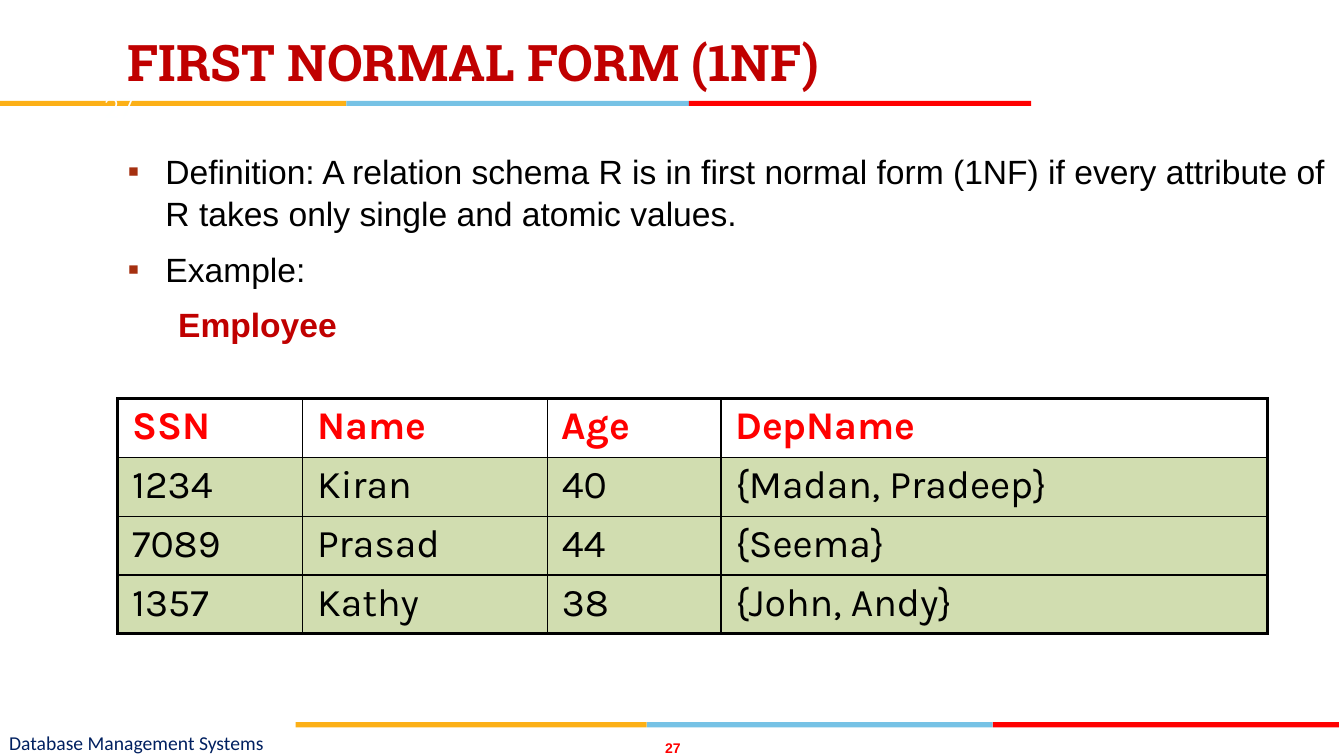
from itertools import accumulate
from lxml.etree import SubElement
from pptx import Presentation
from pptx.dml.color import RGBColor
from pptx.enum.shapes import MSO_SHAPE
from pptx.enum.text import MSO_ANCHOR, PP_ALIGN
from pptx.oxml.ns import qn
from pptx.util import Cm, Pt

GOLD = RGBColor(0xFC, 0xB0, 0x17)
SKY = RGBColor(0x76, 0xC2, 0xE5)
RED = RGBColor(0xFF, 0x00, 0x00)
CRIMSON = RGBColor(0xC0, 0x00, 0x00)
NAVY = RGBColor(0x00, 0x20, 0x60)
BLACK = RGBColor(0x00, 0x00, 0x00)
WHITE = RGBColor(0xFE, 0xFF, 0xFF)
GREEN = RGBColor(0xD1, 0xDD, 0xB0)
RUST = RGBColor(0xA5, 0x30, 0x10)

FONTS = {
    "title": dict(name="Roboto Slab", size=Pt(36), bold=True, color=CRIMSON),
    "body": dict(name="Arial", size=Pt(24), bold=False, color=BLACK),
    "label": dict(name="Arial", size=Pt(24), bold=True, color=CRIMSON),
    "head": dict(name="Karla", size=Pt(28), bold=True, color=RED),
    "cell": dict(name="Karla", size=Pt(28), bold=False, color=BLACK),
    "foot": dict(name="Calibri", size=Pt(14), bold=False, color=NAVY),
    "page": dict(name="Arial", size=Pt(10), bold=True, color=RED),
    "badge": dict(name="Quicksand", size=Pt(20), bold=False, color=WHITE),
}
BANDS = [
    (0, 2.54, (8.73, 8.63, 8.63)),
    (7.45, 18.2, (8.85, 8.72, 8.72)),
]
FLUSH = dict(margin_left=0, margin_right=0, margin_top=0, margin_bottom=0,
             vertical_anchor=MSO_ANCHOR.MIDDLE)
LABELS = [
    ("27", "page", (16.54, 18.63, 0.83, 0.42), PP_ALIGN.CENTER, FLUSH),
    ("Database Management Systems", "foot", (0.23, 18.36, 12.6, 0.69), PP_ALIGN.LEFT, FLUSH),
    ("FIRST NORMAL FORM (1NF)", "title", (2.97, 0.66, 24.33, 2.13), PP_ALIGN.LEFT, {}),
    ("27", "badge", (1.47, 2.19, 2.15, 1.02), PP_ALIGN.RIGHT,
     dict(vertical_anchor=MSO_ANCHOR.MIDDLE)),
]
BODY = [
    ("Definition: A relation schema R is in first normal form (1NF) if every "
     "attribute of R takes only single and atomic values.", "body"),
    ("Example:", "body"),
    ("Employee", "label"),
]
ROWS = [
    ("SSN", "Name", "Age", "DepName"),
    ("1234", "Kiran", "40", "{Madan, Pradeep}"),
    ("7089", "Prasad", "44", "{Seema}"),
    ("1357", "Kathy", "38", "{John, Andy}"),
]
COLS = (4.66, 6.17, 4.37, 13.78)
TALL = 1.48


def put(item, values):
    for key, value in values.items():
        if key == "color":
            item.color.rgb = value
        else:
            setattr(item, key, value)


def write(para, text, style):
    run = para.add_run()
    run.text = text
    put(run.font, FONTS[style])


def add_box(slide, place, values):
    frame = slide.shapes.add_textbox(*map(Cm, place)).text_frame
    put(frame, dict(word_wrap=True, **values))
    return frame


def indent(para, left, hang):
    props = para._p.get_or_add_pPr()
    props.set("marL", str(Cm(left)))
    props.set("indent", str(Cm(hang)))
    return props


def add_mark(para):
    props = indent(para, 0.95, -0.95)
    tint = SubElement(props, qn("a:buClr"))
    SubElement(tint, qn("a:srgbClr"), val=str(RUST))
    SubElement(props, qn("a:buFont"), typeface="Arial")
    SubElement(props, qn("a:buChar"), char="▪")


def add_edge(props, side, width):
    line = SubElement(props, qn("a:" + side), w=str(Pt(width)))
    fill = SubElement(line, qn("a:solidFill"))
    SubElement(fill, qn("a:srgbClr"), val=str(BLACK))


def add_grid(slide):
    grid = slide.shapes.add_table(len(ROWS), len(COLS), Cm(2.97), Cm(10.05),
                                  Cm(sum(COLS)), Cm(TALL * len(ROWS))).table
    put(grid, dict(first_row=False, horz_banding=False))
    for col, width in zip(grid.columns, COLS):
        col.width = Cm(width)
    for r, row in enumerate(ROWS):
        grid.rows[r].height = Cm(TALL)
        for c, text in enumerate(row):
            cell = grid.cell(r, c)
            put(cell, dict(margin_left=Cm(0.36), margin_right=Cm(0.36),
                           margin_top=Cm(0.13), margin_bottom=Cm(0.13)))
            write(cell.text_frame.paragraphs[0], text, "cell" if r else "head")
            props = cell._tc.get_or_add_tcPr()
            outer = dict(lnL=c == 0, lnR=c == len(COLS) - 1,
                         lnT=r == 0, lnB=r == len(ROWS) - 1)
            for side, edge in outer.items():
                add_edge(props, side, 2.25 if edge else 1)
            if r:
                cell.fill.solid()
                cell.fill.fore_color.rgb = GREEN
            else:
                cell.fill.background()


def main():
    deck = Presentation()
    put(deck, dict(slide_width=Cm(33.87), slide_height=Cm(19.05)))
    slide = deck.slides.add_slide(deck.slide_layouts[6])
    for left, top, widths in BANDS:
        starts = accumulate(widths, initial=left)
        for x, width, color in zip(starts, widths, (GOLD, SKY, RED)):
            bar = slide.shapes.add_shape(MSO_SHAPE.RECTANGLE, Cm(x), Cm(top),
                                         Cm(width), Cm(0.13))
            bar.shadow.inherit = False
            bar.fill.solid()
            bar.fill.fore_color.rgb = color
            bar.line.fill.background()
    for text, style, place, align, values in LABELS:
        para = add_box(slide, place, values).paragraphs[0]
        para.alignment = align
        write(para, text, style)
    add_grid(slide)
    frame = add_box(slide, (2.97, 3.63, 30.9, 12.5), {})
    for i, (text, style) in enumerate(BODY):
        para = frame.add_paragraph() if i else frame.paragraphs[0]
        put(para, dict(space_before=Pt(10 if i else 0), line_spacing=1.04))
        write(para, text, style)
        if style == "body":
            add_mark(para)
        else:
            indent(para, 1.27, 0)
    deck.save("out.pptx")


if __name__ == "__main__":
    main()
